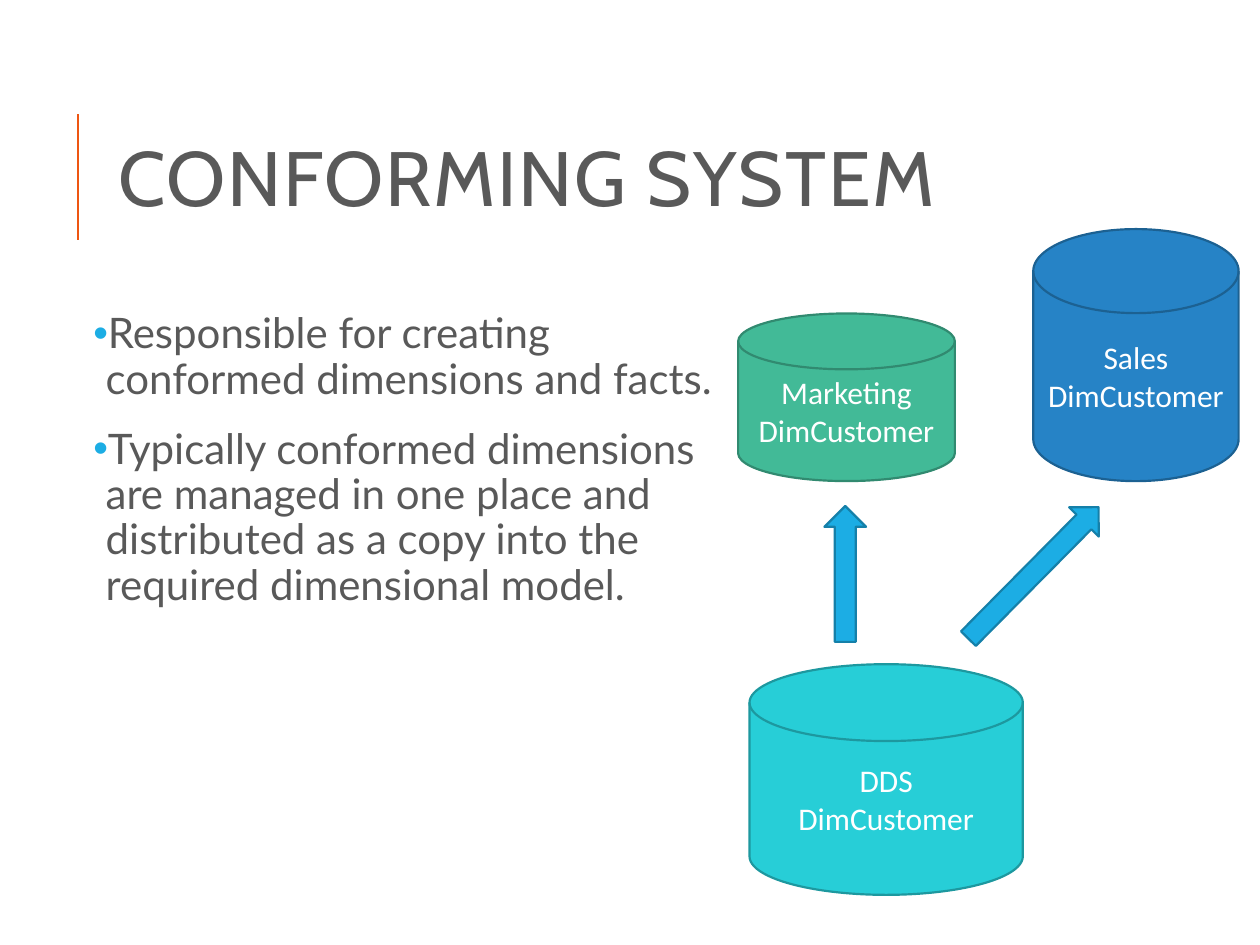
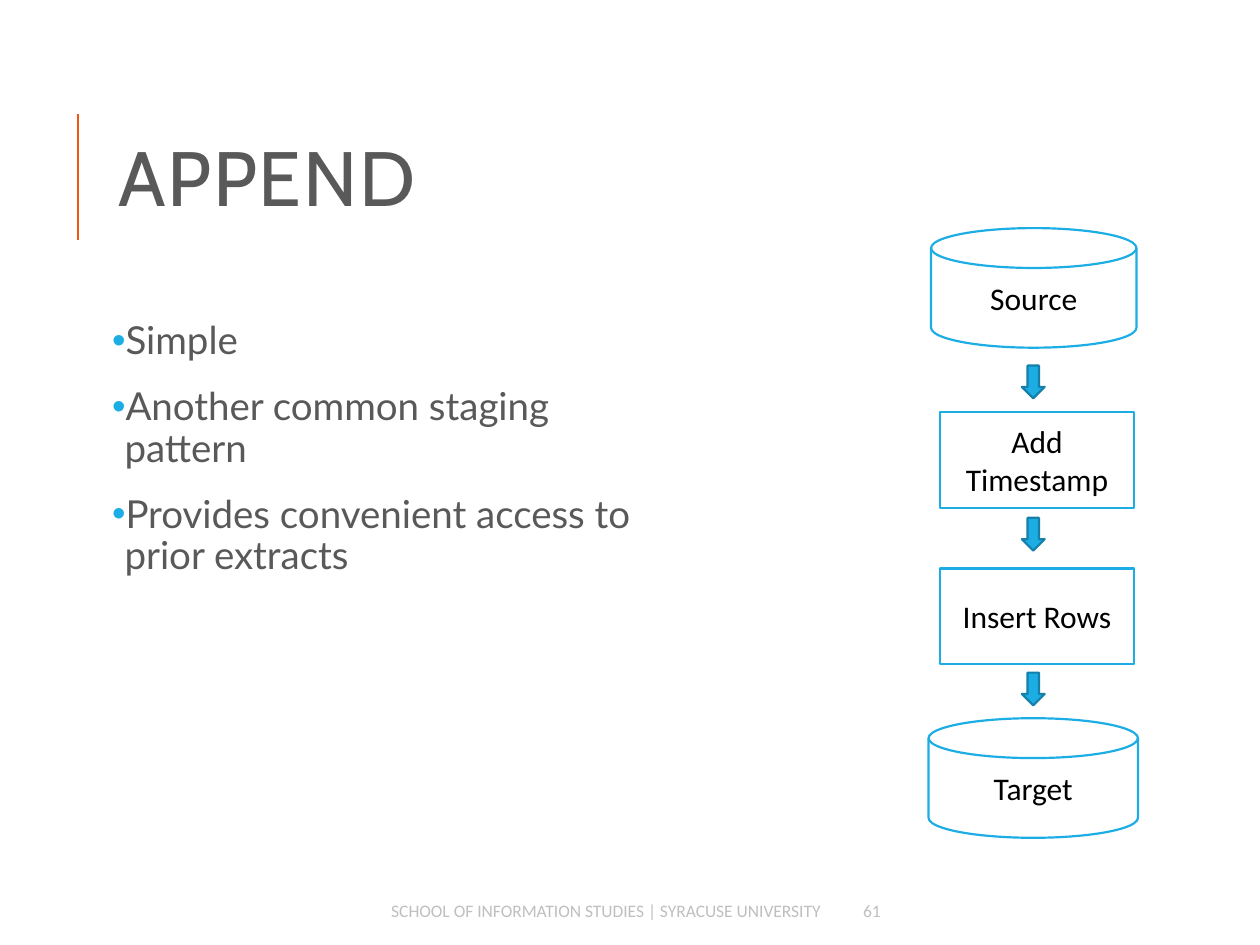
from lxml.etree import SubElement
from pptx import Presentation
from pptx.dml.color import RGBColor
from pptx.enum.shapes import MSO_CONNECTOR, MSO_SHAPE as Shape
from pptx.enum.text import MSO_ANCHOR as Anchor, MSO_AUTO_SIZE as AutoSize, PP_ALIGN as Align
from pptx.oxml.ns import qn
from pptx.util import Cm, Pt

WHITE = RGBColor(0xFF, 0xFF, 0xFF)
BLACK = RGBColor(0x00, 0x00, 0x00)
TEXT_GRAY = RGBColor(0x59, 0x59, 0x59)
FOOTER_GRAY = RGBColor(0xBF, 0xBF, 0xBF)
ORANGE = RGBColor(0xEE, 0x56, 0x12)
SKY = RGBColor(0x1C, 0xAD, 0xE4)
SKY_DARK = RGBColor(0x15, 0x80, 0xA9)
BLUE = RGBColor(0x26, 0x83, 0xC6)
BLUE_DARK = RGBColor(0x1C, 0x61, 0x92)
GREEN = RGBColor(0x42, 0xBA, 0x97)
GREEN_DARK = RGBColor(0x31, 0x8A, 0x70)
TURQUOISE = RGBColor(0x27, 0xCE, 0xD7)
TURQUOISE_DARK = RGBColor(0x1D, 0x98, 0x9F)

TITLE_FONT, BODY_FONT, LABEL_FONT = "Cabin", "Lato", "Calibri"
DISK = Shape.FLOWCHART_MAGNETIC_DISK


class Deck:
    def __init__(self):
        self.presentation = Presentation()
        self.presentation.slide_width = Cm(25.4)
        self.presentation.slide_height = Cm(19.05)
        self.slide = None

    def add_slide(self, title):
        layout = self.presentation.slide_layouts.get_by_name("Title and Content")
        self.slide = self.presentation.slides.add_slide(layout)
        self.add_accent_line()
        shape = self.slide.shapes.title
        self.place(shape, 2.13, 1.63, 20.24, 4.17)
        frame = shape.text_frame
        frame.text = title
        frame.vertical_anchor = Anchor.MIDDLE
        frame.auto_size = AutoSize.NONE
        paragraph = frame.paragraphs[0]
        paragraph.alignment = Align.LEFT
        paragraph.line_spacing = 0.8
        self.set_font(paragraph, TITLE_FONT, 44, TEXT_GRAY)
        paragraph._p.get_or_add_pPr().get_or_add_defRPr().set("spc", "100")

    def add_accent_line(self):
        line = self.slide.shapes.add_connector(
            MSO_CONNECTOR.STRAIGHT, Cm(1.57), Cm(4.83), Cm(1.57), Cm(2.29))
        line.line.color.rgb = ORANGE
        line.line.width = Pt(1.5)
        SubElement(line._element.spPr, qn("a:effectLst"))

    def add_bullets(self, items, left, top, width, height, size):
        shape = self.slide.placeholders[1]
        self.place(shape, left, top, width, height)
        frame = shape.text_frame
        frame.auto_size = AutoSize.NONE
        frame.margin_left = frame.margin_right = Cm(0.13)
        frame.margin_top = frame.margin_bottom = Cm(0.13)
        for index, item in enumerate(items):
            paragraph = frame.add_paragraph() if index else frame.paragraphs[0]
            paragraph.text = item
            paragraph.line_spacing = 0.9
            paragraph.space_before = Pt(12 if index else 0)
            paragraph.space_after = Pt(2)
            self.set_bullet(paragraph)
            self.set_font(paragraph, BODY_FONT, size, TEXT_GRAY)

    def add_shape(self, kind, left, top, width, height, fill, line,
                  label="", color=WHITE, rotation=0):
        shape = self.slide.shapes.add_shape(
            kind, Cm(left), Cm(top), Cm(width), Cm(height))
        shape.shadow.inherit = False
        shape.rotation = rotation
        shape.fill.solid()
        shape.fill.fore_color.rgb = fill
        shape.line.color.rgb = line
        shape.line.width = Pt(1.25)
        if label:
            frame = shape.text_frame
            frame.text = ""
            frame.vertical_anchor = Anchor.MIDDLE
            paragraph = frame.paragraphs[0]
            paragraph.text = label
            paragraph.alignment = Align.CENTER
            self.set_font(paragraph, LABEL_FONT, 18, color)

    def add_arrow(self, kind, left, top, width, height, rotation=0):
        self.add_shape(kind, left, top, width, height, SKY, SKY_DARK, rotation=rotation)

    def add_step(self, kind, label, left, top, width, height):
        self.add_shape(kind, left, top, width, height, WHITE, SKY, label, BLACK)

    def add_footer(self, text, number):
        for content, left, width, alignment in (
                (text, 4.8, 11.99, Align.RIGHT), (number, 17.15, 2.31, Align.LEFT)):
            box = self.slide.shapes.add_textbox(Cm(left), Cm(17.98), Cm(width), Cm(0.76))
            frame = box.text_frame
            frame.word_wrap = True
            frame.vertical_anchor = Anchor.MIDDLE
            paragraph = frame.paragraphs[0]
            paragraph.text = content
            paragraph.alignment = alignment
            self.set_font(paragraph, LABEL_FONT, 10, FOOTER_GRAY)

    @staticmethod
    def place(shape, left, top, width, height):
        shape.left, shape.top = Cm(left), Cm(top)
        shape.width, shape.height = Cm(width), Cm(height)

    @staticmethod
    def set_font(paragraph, name, size, color):
        font = paragraph.font
        font.name = name
        font.size = Pt(size)
        font.color.rgb = color

    @staticmethod
    def set_bullet(paragraph):
        properties = paragraph._p.get_or_add_pPr()
        properties.set("marL", str(Cm(0.25)))
        properties.set("indent", str(-Cm(0.25)))
        color = SubElement(properties, qn("a:buClr"))
        SubElement(color, qn("a:srgbClr"), val=str(SKY))
        SubElement(properties, qn("a:buFont"), typeface="Arial")
        SubElement(properties, qn("a:buChar"), char="•")


def build_conforming_slide(deck):
    deck.add_slide("CONFORMING SYSTEM")
    deck.add_bullets(
        ["Responsible for creating conformed dimensions and facts.",
         "Typically conformed dimensions are managed in one place and "
         "distributed as a copy into the required dimensional model."],
        1.75, 6.17, 13, 11.84, 24)
    for owner, left, top, width, height, fill, line in (
            ("DDS", 15.11, 13.39, 5.51, 4.65, TURQUOISE, TURQUOISE_DARK),
            ("Marketing", 14.88, 6.32, 4.37, 3.38, GREEN, GREEN_DARK),
            ("Sales", 20.83, 4.62, 4.14, 5.08, BLUE, BLUE_DARK)):
        deck.add_shape(DISK, left, top, width, height, fill, line,
                       f"{owner}\vDimCustomer")
    deck.add_arrow(Shape.RIGHT_ARROW, 15.67, 11.15, 2.74, 0.84, 270)
    deck.add_arrow(Shape.RIGHT_ARROW, 18.97, 11.13, 3.73, 0.84, 314.7)


def build_append_slide(deck):
    deck.add_slide("APPEND")
    deck.add_bullets(
        ["Simple", "Another common staging pattern",
         "Provides convenient access to prior extracts"],
        2.13, 6.35, 11.4, 11.18, 22)
    deck.add_footer("SCHOOL OF INFORMATION STUDIES | SYRACUSE UNIVERSITY", "61")
    deck.add_step(DISK, "Source", 18.77, 4.6, 4.14, 2.41)
    deck.add_step(DISK, "Target", 18.72, 14.48, 4.22, 2.41)
    for label, top in (("Add Timestamp", 8.31), ("Insert Rows", 11.46)):
        deck.add_step(Shape.RECTANGLE, label, 18.95, top, 3.91, 1.93)
    for top in (7.37, 10.44, 13.56):
        deck.add_arrow(Shape.DOWN_ARROW, 20.6, top, 0.46, 0.66)


def main():
    deck = Deck()
    build_conforming_slide(deck)
    build_append_slide(deck)
    deck.presentation.save("out.pptx")


if __name__ == "__main__":
    main()
